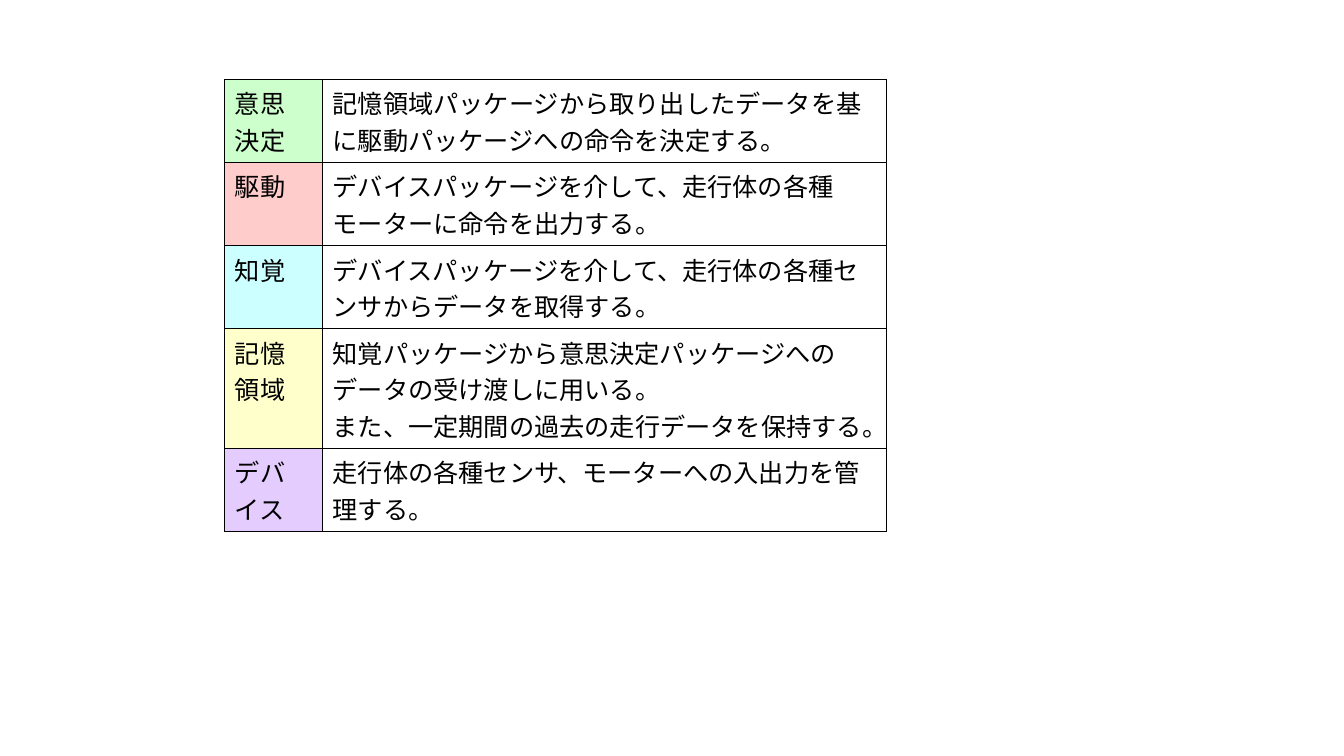
import pptx
import pptx.dml.color
import pptx.enum.lang
import pptx.oxml
import pptx.oxml.ns
import pptx.util
from pptx.util import Inches

FONT = "Noto Sans CJK JP"
COLORS = {"text": "000000", "border": "000000", "white": "FFFFFF",
          "green": "CCFFCC", "red": "FFCCCC", "cyan": "CCFFFF",
          "yellow": "FFFFCC", "purple": "E5CCFF"}

# Package name paragraphs, colour, row height, description lines
PACKAGES = [
    (["意思", "決定"], "green", 0.82,
     ["記憶領域パッケージから取り出したデータを基に駆動パッケージへの命令を決定する。"]),
    (["駆動"], "red", 0.82,
     ["デバイスパッケージを介して、走行体の各種モーターに命令を出力する。"]),
    (["知覚"], "cyan", 0.82,
     ["デバイスパッケージを介して、走行体の各種センサからデータを取得する。"]),
    (["記憶", "領域"], "yellow", 1.18,
     ["知覚パッケージから意思決定パッケージへのデータの受け渡しに用いる。",
      "また、一定期間の過去の走行データを保持する。"]),
    (["デバ", "イス"], "purple", 0.82,
     ["走行体の各種センサ、モーターへの入出力を管理する。"]),
]


def add_run(p, text):
    r = p.add_run()
    r.text = text
    r.font.size = pptx.util.Pt(18)
    r.font.name = FONT
    r.font.language_id = pptx.enum.lang.MSO_LANGUAGE_ID.JAPANESE
    r.font.color.rgb = pptx.dml.color.RGBColor.from_string(COLORS["text"])
    latin = r.font._element.find(pptx.oxml.ns.qn("a:latin"))
    latin.addnext(pptx.oxml.parse_xml(
        f'<a:ea {pptx.oxml.ns.nsdecls("a")} typeface="{FONT}"/>'))


def style_cell(cell, color):
    """Fill the cell and draw a thin border on its four sides."""
    cell.fill.solid()
    cell.fill.fore_color.rgb = pptx.dml.color.RGBColor.from_string(COLORS[color])
    tcPr = cell._tc.get_or_add_tcPr()
    for i, side in enumerate("LRTB"):
        tcPr.insert(i, pptx.oxml.parse_xml(
            f'<a:ln{side} {pptx.oxml.ns.nsdecls("a")} w="12700"><a:solidFill>'
            f'<a:srgbClr val="{COLORS["border"]}"/></a:solidFill></a:ln{side}>'))


prs = pptx.Presentation()
prs.slide_width = Inches(13.33)
prs.slide_height = Inches(7.5)
s = prs.slides.add_slide(prs.slide_layouts[6])

height = sum(row_height for _, _, row_height, _ in PACKAGES)
table = s.shapes.add_table(len(PACKAGES), 2, Inches(2.23), Inches(0.79),
                           Inches(6.56), Inches(height)).table
table.first_row = False
table.horz_banding = False
table.columns[0].width = Inches(0.97)
table.columns[1].width = Inches(5.59)

for i, (name, color, row_height, description) in enumerate(PACKAGES):
    table.rows[i].height = Inches(row_height)
    name_cell, description_cell = table.cell(i, 0), table.cell(i, 1)
    style_cell(name_cell, color)
    style_cell(description_cell, "white")

    tf = name_cell.text_frame
    for j, part in enumerate(name):
        p = tf.add_paragraph() if j else tf.paragraphs[0]
        add_run(p, part)

    p = description_cell.text_frame.paragraphs[0]
    for j, line in enumerate(description):
        if j:
            p.add_line_break()
        add_run(p, line)

prs.save("out.pptx")
